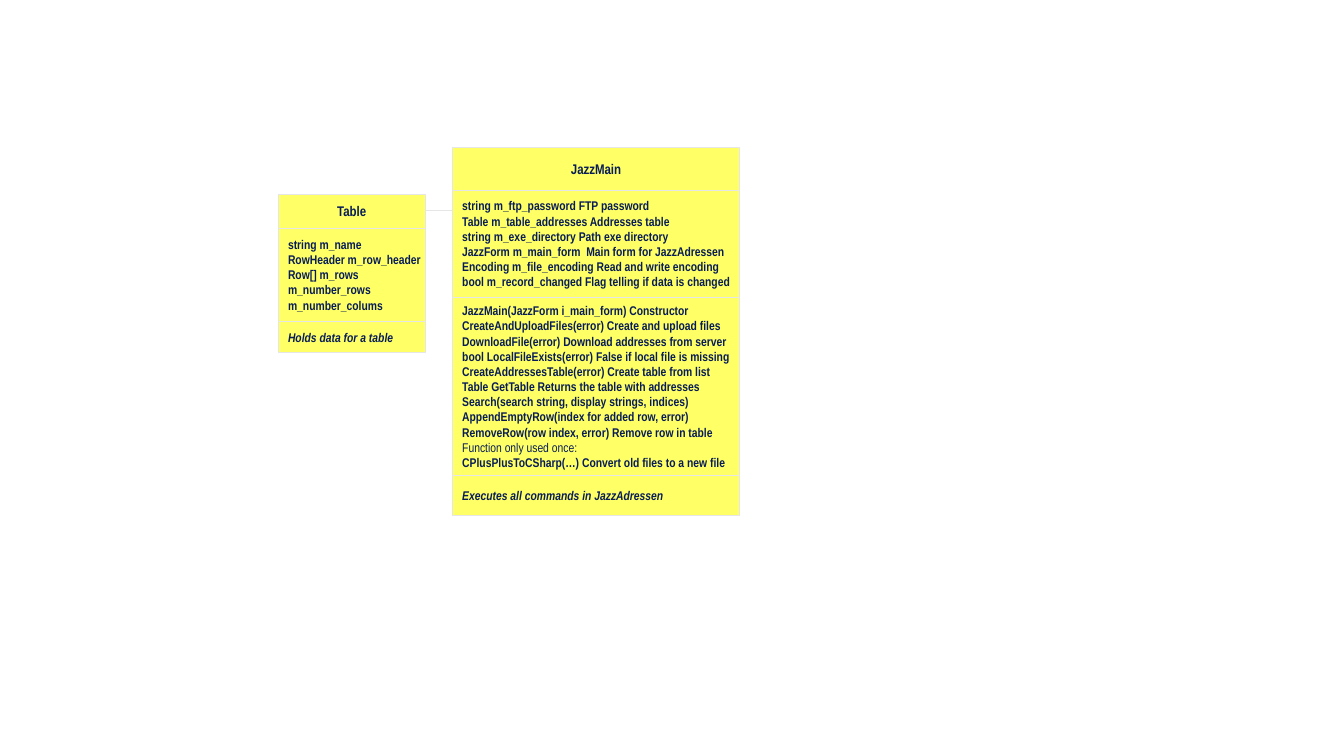
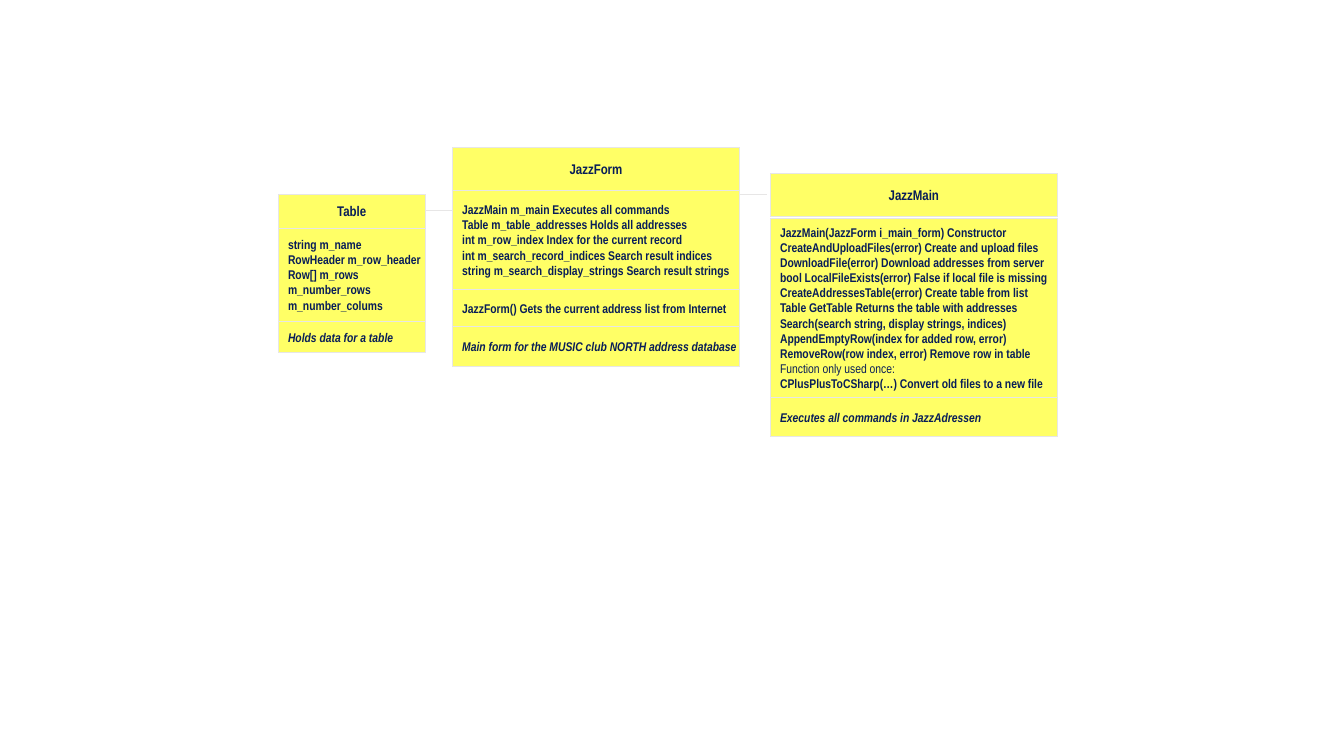
"""Build two UML class diagrams of an address application."""
import pptx
import pptx.dml.color
import pptx.enum.shapes
import pptx.enum.text
import pptx.oxml.ns
import pptx.util
from lxml import etree
from pptx.util import Cm, Pt

YELLOW = pptx.dml.color.RGBColor(0xFF, 0xFF, 0x66)
GREY = pptx.dml.color.RGBColor(0xE7, 0xE6, 0xE6)
NAVY = pptx.dml.color.RGBColor(0x08, 0x1D, 0x58)
FONT = "Arial Narrow"
LINE_WIDTH = Pt(0.75)
CENTER = pptx.enum.text.PP_ALIGN.CENTER
LEFT = pptx.enum.text.PP_ALIGN.LEFT

TABLE_X, TABLE_W = 7.01, 3.71
CLASS_X, CLASS_W = 11.4, 7.24
MAIN_X = 19.41
CLASS_Y = 3.71
TITLE_H, NOTE_H, METHODS_H = 1.09, 1.0, 4.5

PLAIN_LINE = "Function only used once:"
TABLE_FIELDS = [
    "string m_name",
    "RowHeader m_row_header",
    "Row[] m_rows",
    "m_number_rows",
    "m_number_colums",
]
MAIN_FIELDS = [
    "string m_ftp_password FTP password",
    "Table m_table_addresses Addresses table",
    "string m_exe_directory Path exe directory",
    "JazzForm m_main_form  Main form for JazzAdressen",
    "Encoding m_file_encoding Read and write encoding",
    "bool m_record_changed Flag telling if data is changed",
]
MAIN_METHODS = [
    "JazzMain(JazzForm i_main_form) Constructor",
    "CreateAndUploadFiles(error) Create and upload files",
    "DownloadFile(error) Download addresses from server",
    "bool LocalFileExists(error) False if local file is missing",
    "CreateAddressesTable(error) Create table from list",
    "Table GetTable Returns the table with addresses",
    "Search(search string, display strings, indices)",
    "AppendEmptyRow(index for added row, error)",
    "RemoveRow(row index, error) Remove row in table",
    PLAIN_LINE,
    "CPlusPlusToCSharp(…) Convert old files to a new file",
]
MAIN_NOTE = "Executes all commands in JazzAdressen"
FORM_FIELDS = [
    "JazzMain m_main Executes all commands",
    "Table m_table_addresses Holds all addresses",
    "int m_row_index Index for the current record",
    "int m_search_record_indices Search result indices",
    "string m_search_display_strings Search result strings",
]
FORM_METHODS = ["JazzForm() Gets the current address list from Internet"]
FORM_NOTE = "Main form for the MUSIC club NORTH address database"


def add_box(s, x, y, w, h, lines, size=9, align=LEFT, italic=False):
    sp = s.shapes.add_shape(
        pptx.enum.shapes.MSO_SHAPE.RECTANGLE, Cm(x), Cm(y), Cm(w), Cm(h))
    sp.shadow.inherit = False
    sp.fill.solid()
    sp.fill.fore_color.rgb = YELLOW
    sp.line.color.rgb = GREY
    sp.line.width = LINE_WIDTH
    tf = sp.text_frame
    tf.word_wrap = False
    tf.vertical_anchor = pptx.enum.text.MSO_ANCHOR.MIDDLE
    tf.text = "\n".join(lines)
    for p in tf.paragraphs:
        p.alignment = align
        p.font.name = FONT
        p.font.size = Pt(size)
        p.font.bold = p.text != PLAIN_LINE
        p.font.italic = italic
        p.font.color.rgb = NAVY


def add_class(s, x, y, w, title, title_h, sections, note, note_h, gap=0):
    add_box(s, x, y, w, title_h, [title], size=10, align=CENTER)
    y += title_h + gap
    for lines, h in sections:
        add_box(s, x, y, w, h, lines)
        y += h
    add_box(s, x, y, w, note_h, [note], italic=True)


def add_link(s, x1, x2, y):
    cn = s.shapes.add_connector(
        pptx.enum.shapes.MSO_CONNECTOR.STRAIGHT, Cm(x1), Cm(y), Cm(x2), Cm(y))
    cn.line.color.rgb = GREY
    cn.line.width = LINE_WIDTH
    etree.SubElement(cn._element.spPr, pptx.oxml.ns.qn("a:effectLst"))


def add_table_class(s):
    add_link(s, TABLE_X + TABLE_W, CLASS_X, 5.31)
    add_class(s, TABLE_X, 4.9, TABLE_W, "Table", 0.85,
              [(TABLE_FIELDS, 2.35)], "Holds data for a table", 0.79)


def build_main_slide(s):
    add_class(s, CLASS_X, CLASS_Y, CLASS_W, "JazzMain", TITLE_H,
              [(MAIN_FIELDS, 2.69), (MAIN_METHODS, METHODS_H)],
              MAIN_NOTE, NOTE_H)
    add_table_class(s)


def build_form_slide(s):
    add_class(s, CLASS_X, CLASS_Y, CLASS_W, "JazzForm", TITLE_H,
              [(FORM_FIELDS, 2.49), (FORM_METHODS, 0.95)],
              FORM_NOTE, NOTE_H)
    add_table_class(s)
    add_class(s, MAIN_X, 4.37, CLASS_W, "JazzMain", TITLE_H,
              [(MAIN_METHODS, METHODS_H)], MAIN_NOTE, NOTE_H, gap=0.05)
    add_link(s, CLASS_X + CLASS_W, 19.33, 4.9)


def main():
    prs = pptx.Presentation()
    prs.slide_width, prs.slide_height = Cm(33.87), Cm(19.05)
    for build in (build_main_slide, build_form_slide):
        build(prs.slides.add_slide(prs.slide_layouts[6]))
    prs.save("out.pptx")


if __name__ == "__main__":
    main()
